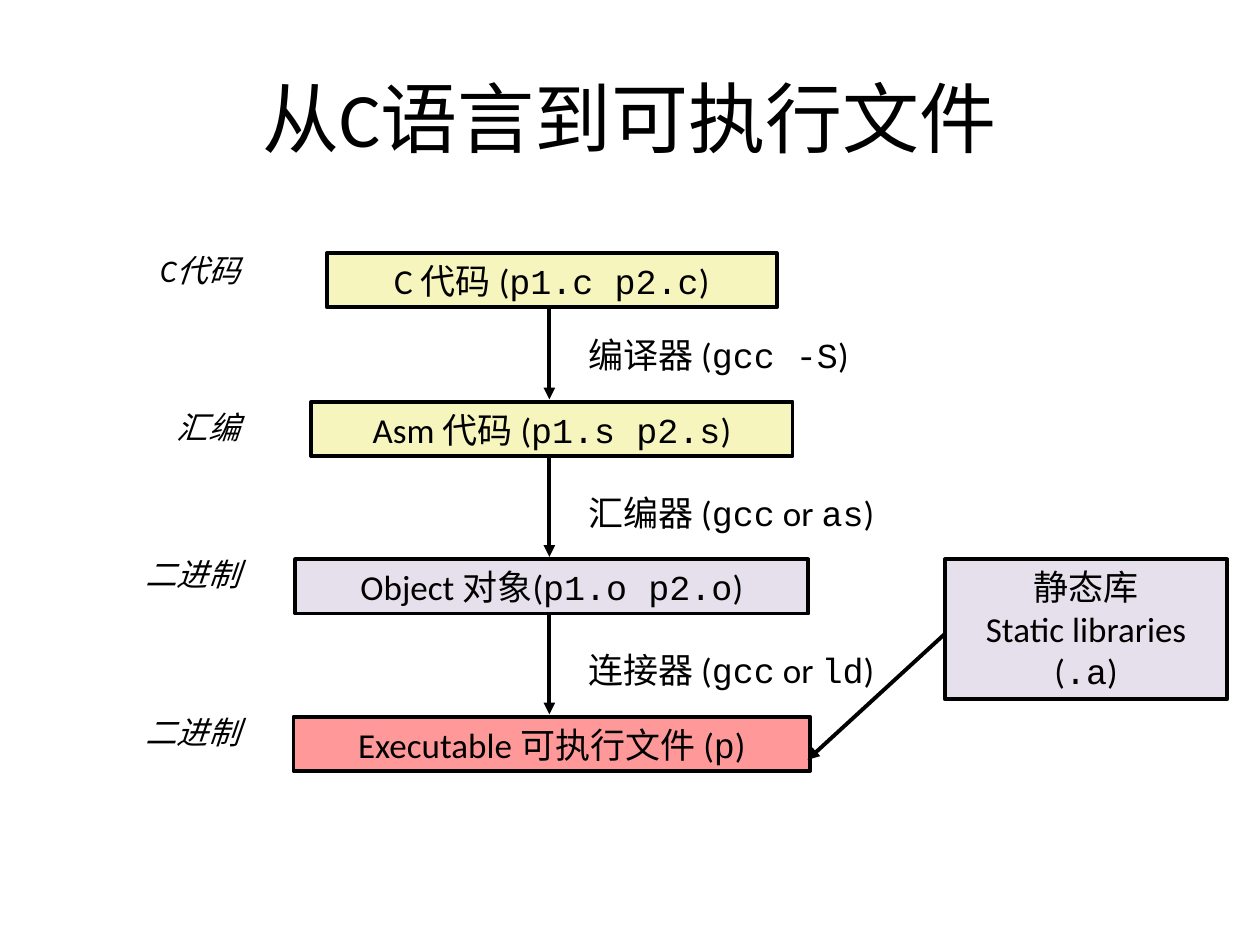
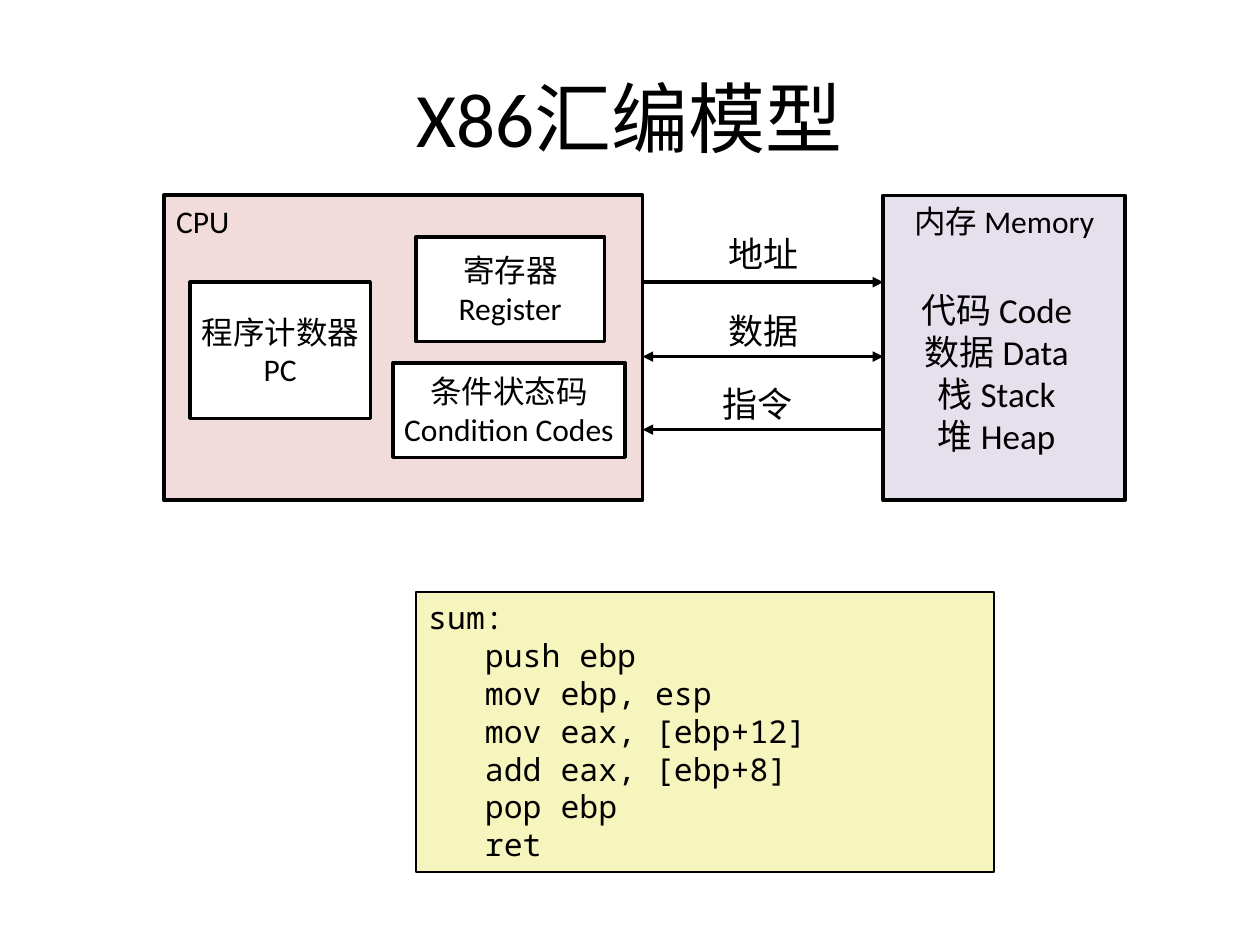
from dataclasses import dataclass
from lxml.etree import SubElement
from pptx import Presentation
from pptx.dml.color import RGBColor
from pptx.enum.shapes import MSO_CONNECTOR as Connector, MSO_SHAPE as Shape
from pptx.enum.text import MSO_ANCHOR as Anchor, PP_ALIGN as Align
from pptx.oxml.ns import qn
from pptx.util import Inches, Pt


@dataclass(frozen=True)
class Theme:
    ink: str = "000000"
    white: str = "FFFFFF"
    yellow: str = "F6F5BD"
    lilac: str = "E6E0EC"
    red: str = "FF9999"
    pink: str = "F2DCDB"
    body_font: str = "Calibri"
    command_font: str = "Courier New"
    code_font: str = "Noto Sans Mono"
    title_size: int = 44
    text_size: int = 20
    small_size: int = 18
    thick: float = 2.25
    medium: float = 2
    thin: float = 1


THEME = Theme()

BUILD_TITLE = "从C语言到可执行文件"
# Backticks mark commands and file names.
STAGES = [
    ("C代码", 1.94, "C 代码 (`p1.c p2.c`)", 2.01, 3.57, THEME.yellow),
    ("汇编", 3.19, "Asm 代码 (`p1.s p2.s`)", 3.19, 3.82, THEME.yellow),
    ("二进制", 4.36, "Object 对象(`p1.o p2.o`)", 4.44, 4.07, THEME.lilac),
    ("二进制", 5.61, "Executable 可执行文件 (`p`)", 5.69, 4.1, THEME.red),
]
TOOLS = ["编译器 (`gcc -S`)", "汇编器 (`gcc` or `as`)", "连接器 (`gcc` or `ld`)"]
LIBRARIES = ["静态库", "Static libraries (`.a`)"]

MODEL_TITLE = "X86汇编模型"
CPU_PARTS = [
    (["程序计数器", "PC"], (1.51, 2.24, 1.43, 1.08)),
    (["寄存器", "Register"], (3.3, 1.88, 1.5, 0.83)),
    (["条件状态码", "Condition Codes"], (3.12, 2.88, 1.84, 0.75)),
]
MEMORY_PARTS = ["代码 Code", "数据 Data", "栈 Stack", "堆 Heap"]
BUSES = [
    ("地址", 1.8, 1.92, 2.24, False, True),
    ("数据", 2.41, 1.92, 2.83, True, True),
    ("指令", 2.99, 1.83, 3.41, True, False),
]
CODE_LABEL = "sum:"
CODE_LINES = ["push ebp", "mov ebp, esp", "mov eax, [ebp+12]",
              "add eax, [ebp+8]", "pop ebp", "ret"]


def color(value):
    return RGBColor.from_string(value)


def write(box, lines, size=THEME.text_size, align=Align.LEFT, anchor=Anchor.TOP,
          font=THEME.body_font, italic=False, wrap=True):
    frame = box.text_frame
    frame.word_wrap = wrap
    frame.vertical_anchor = anchor
    frame.text = "\n".join(line.split("`")[0] for line in lines)
    for para, line in zip(frame.paragraphs, lines):
        para.alignment = align
        for part in line.split("`")[1:]:
            para.add_run().text = part
        for index, span in enumerate(para.runs):
            span.font.name = THEME.command_font if index % 2 else font
            span.font.size = Pt(size)
            span.font.italic = italic
            span.font.color.rgb = color(THEME.ink)


def add_page(deck, title):
    page = deck.slides.add_slide(deck.slide_layouts[5])
    box = page.shapes.title
    box.left, box.top, box.width, box.height = map(Inches, (0.5, 0.3, 9, 1.25))
    write(box, [title], THEME.title_size, Align.CENTER, Anchor.MIDDLE)
    return page


def add_label(page, place, lines, **style):
    box = page.shapes.add_textbox(*map(Inches, place))
    write(box, lines, **style)


def add_box(page, place, fill, lines, weight=THEME.thick, **style):
    box = page.shapes.add_shape(Shape.RECTANGLE, *map(Inches, place))
    box.shadow.inherit = False
    box.fill.solid()
    box.fill.fore_color.rgb = color(fill)
    box.line.color.rgb = color(THEME.ink)
    box.line.width = Pt(weight)
    write(box, lines, **style)
    return box


def add_arrow(page, start, end, weight=THEME.thick, head=False, tail=True):
    arrow = page.shapes.add_connector(Connector.STRAIGHT, *map(Inches, start + end))
    arrow.line.color.rgb = color(THEME.ink)
    arrow.line.width = Pt(weight)
    outline = arrow.line._get_or_add_ln()
    for tag, shown in (("a:headEnd", head), ("a:tailEnd", tail)):
        if shown:
            SubElement(outline, qn(tag), type="triangle")
    SubElement(arrow._element.spPr, qn("a:effectLst"))


def build_chain(deck):
    page = add_page(deck, BUILD_TITLE)
    center, arrow_x, height = 4.38, 4.36, 0.43
    for label, label_top, text, top, width, fill in STAGES:
        add_label(page, (0.7, label_top, 1.3, 0.4), [label],
                  size=THEME.small_size, align=Align.RIGHT, italic=True)
        add_box(page, (center - width / 2, top, width, height), fill, [text],
                align=Align.CENTER)
    tops = [stage[3] for stage in STAGES]
    for tool, top, next_top in zip(TOOLS, tops, tops[1:]):
        add_arrow(page, (arrow_x, top + height), (arrow_x, next_top - 0.02))
        add_label(page, (4.57, next_top - 0.59, 3.33, height), [tool])
    add_box(page, (7.5, 4.44, 2.24, 1.11), THEME.lilac, LIBRARIES, align=Align.CENTER)
    add_arrow(page, (7.5, 5.03), (6.41, 6.03))


def build_model(deck):
    page = add_page(deck, MODEL_TITLE)
    cpu_right, memory_left, top, height = 5.1, 7.01, 1.55, 2.42
    add_box(page, (1.3, top, cpu_right - 1.3, height), THEME.pink, ["CPU"],
            size=THEME.small_size)
    for lines, place in CPU_PARTS:
        add_box(page, place, THEME.white, lines, THEME.medium, size=THEME.small_size,
                align=Align.CENTER, anchor=Anchor.MIDDLE, wrap=False)
    add_box(page, (memory_left, top, 1.92, height), THEME.lilac, ["内存 Memory"],
            THEME.medium, size=THEME.small_size, align=Align.CENTER, wrap=False)
    add_label(page, (7.12, 2.24, 1.58, 1.44), MEMORY_PARTS, align=Align.CENTER)
    for name, name_top, width, y, head, tail in BUSES:
        add_arrow(page, (cpu_right, y), (memory_left, y), THEME.medium, head, tail)
        add_label(page, (cpu_right, name_top, width, 0.43), [name], align=Align.CENTER)
    code = add_box(page, (3.3, 4.7, 4.59, 2.22), THEME.yellow, [CODE_LABEL] + CODE_LINES,
                   THEME.thin, size=THEME.small_size, font=THEME.code_font)
    for para in code.text_frame.paragraphs[1:]:
        para._p.get_or_add_pPr().set("marL", str(Inches(0.45)))


def main():
    deck = Presentation()
    deck.slide_width, deck.slide_height = Inches(10), Inches(7.5)
    build_chain(deck)
    build_model(deck)
    deck.save("out.pptx")


if __name__ == "__main__":
    main()
